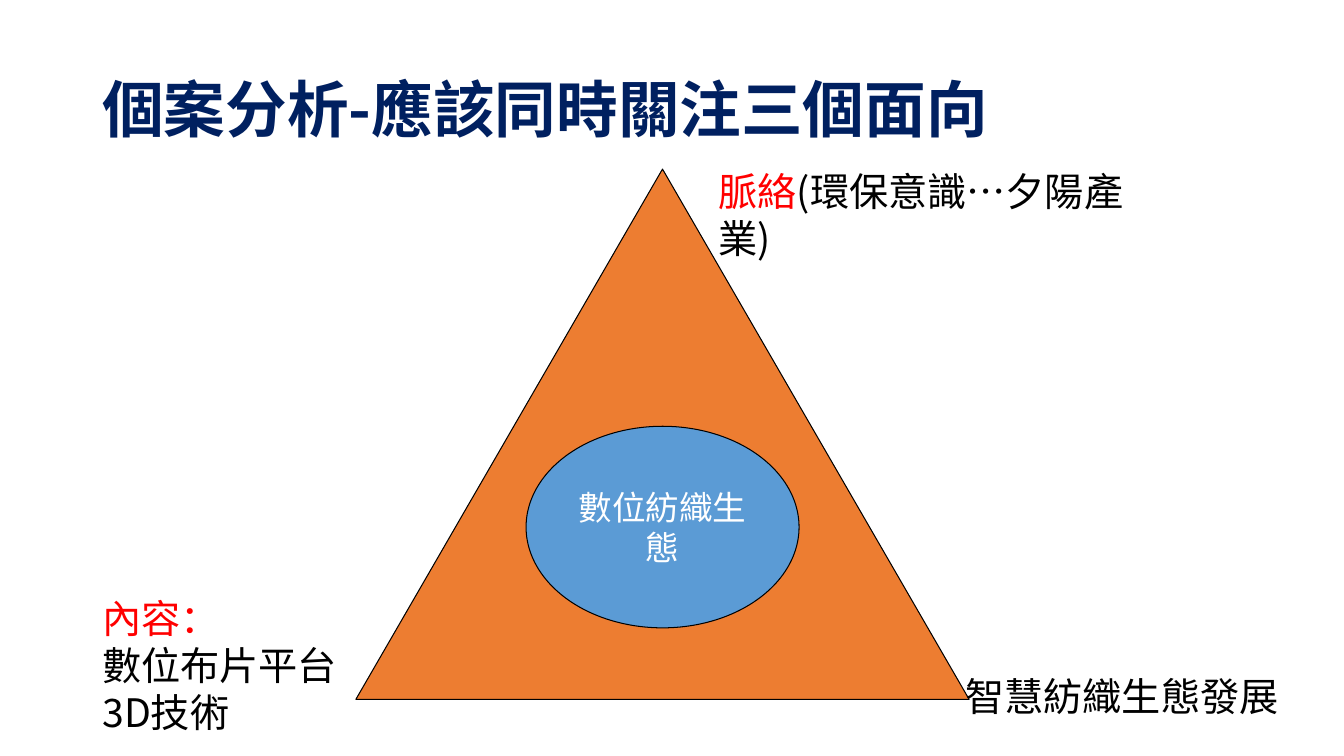
from lxml import etree
from pptx import Presentation
from pptx.dml.color import RGBColor
from pptx.enum.shapes import MSO_SHAPE
from pptx.enum.text import MSO_ANCHOR, PP_ALIGN
from pptx.oxml.ns import qn
from pptx.util import Pt

PX = 9525
FONT = "Noto Sans CJK SC"
NAVY, RED, BLACK, WHITE = "002060", "FF0000", "000000", "FFFFFF"
ORANGE, BLUE = "ED7D31", "5B9BD5"
TRIANGLE, OVAL = MSO_SHAPE.ISOSCELES_TRIANGLE, MSO_SHAPE.OVAL
MIDDLE, TOP = MSO_ANCHOR.MIDDLE, MSO_ANCHOR.TOP
CENTER = PP_ALIGN.CENTER


def color(value):
    return RGBColor.from_string(value)


def emu(box):
    return [length * PX for length in box]


def write(shape, lines, size, anchor=TOP, bold=False, align=None, spacing=None):
    frame = shape.text_frame
    frame.word_wrap = True
    frame.vertical_anchor = anchor
    for index, spans in enumerate(lines):
        paragraph = frame.paragraphs[0] if index == 0 else frame.add_paragraph()
        paragraph.alignment = align
        paragraph.line_spacing = spacing
        font = paragraph.font
        font.size = Pt(size)
        font.bold = bold
        font.name = FONT
        font.color.rgb = color(spans[-1][1])
        defaults = paragraph._p.pPr.find(qn("a:defRPr"))
        etree.SubElement(defaults, qn("a:ea")).set("typeface", FONT)
        for text, hue in spans:
            span = paragraph.add_run()
            span.text = text
            if hue != spans[-1][1]:
                span.font.color.rgb = color(hue)


def add_label(page, box, lines, size=28, **style):
    write(page.shapes.add_textbox(*emu(box)), lines, size, **style)


def add_figure(page, kind, box, fill):
    figure = page.shapes.add_shape(kind, *emu(box))
    figure.shadow.inherit = False
    figure.fill.solid()
    figure.fill.fore_color.rgb = color(fill)
    figure.line.color.rgb = color(BLACK)
    figure.line.width = Pt(0.75)
    return figure


def add_title(page, box):
    add_label(page, box, [[("個案分析-應該同時關注三個面向", NAVY)]], 44,
              anchor=MIDDLE, bold=True, spacing=0.9)


def add_triangle(page, box):
    left, top, width, height = box
    right, bottom = left + width, top + height
    add_figure(page, TRIANGLE, box, ORANGE)
    add_label(page, (left + 336, top - 6, 450, 54),
              [[("脈絡", RED), ("(環保意識…夕陽產業)", BLACK)]])
    add_label(page, (left - 251, bottom - 105, 246, 145),
              [[("內容：", RED)], [("數位布片平台", BLACK)], [("3D技術", BLACK)]])
    add_label(page, (right - 13, bottom - 30, 370, 54),
              [[("智慧紡織生態發展", BLACK)]])
    core_width, core_height = 260, 192
    core_left = left + (width - core_width) // 2
    core = add_figure(page, OVAL, (core_left, top + 245, core_width, core_height), BLUE)
    write(core, [[("數位紡織生態", WHITE)]], 24, anchor=MIDDLE, align=CENTER)


def main():
    deck = Presentation()
    deck.slide_width, deck.slide_height = emu((1280, 720))
    page = deck.slides.add_slide(deck.slide_layouts[6])
    add_title(page, (88, 38, 1104, 139))
    add_triangle(page, (339, 161, 584, 505))
    deck.save("out.pptx")


if __name__ == "__main__":
    main()
